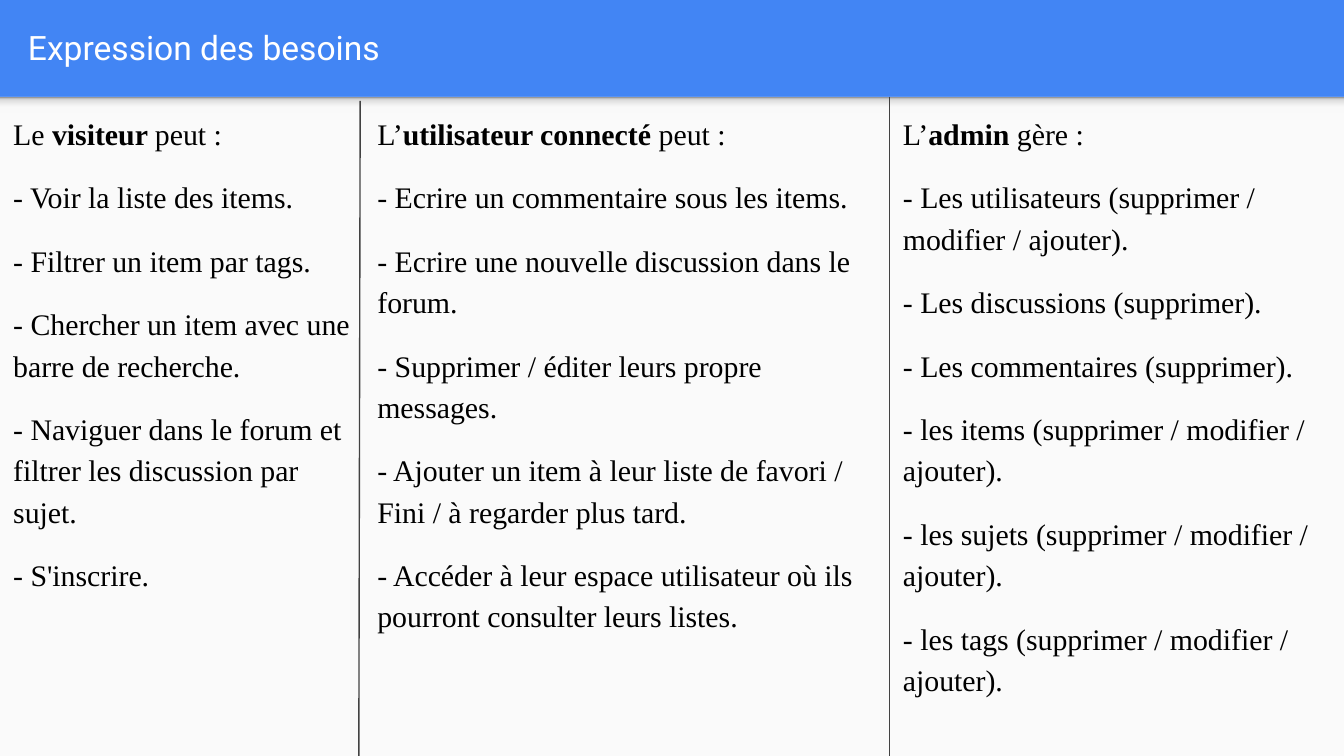
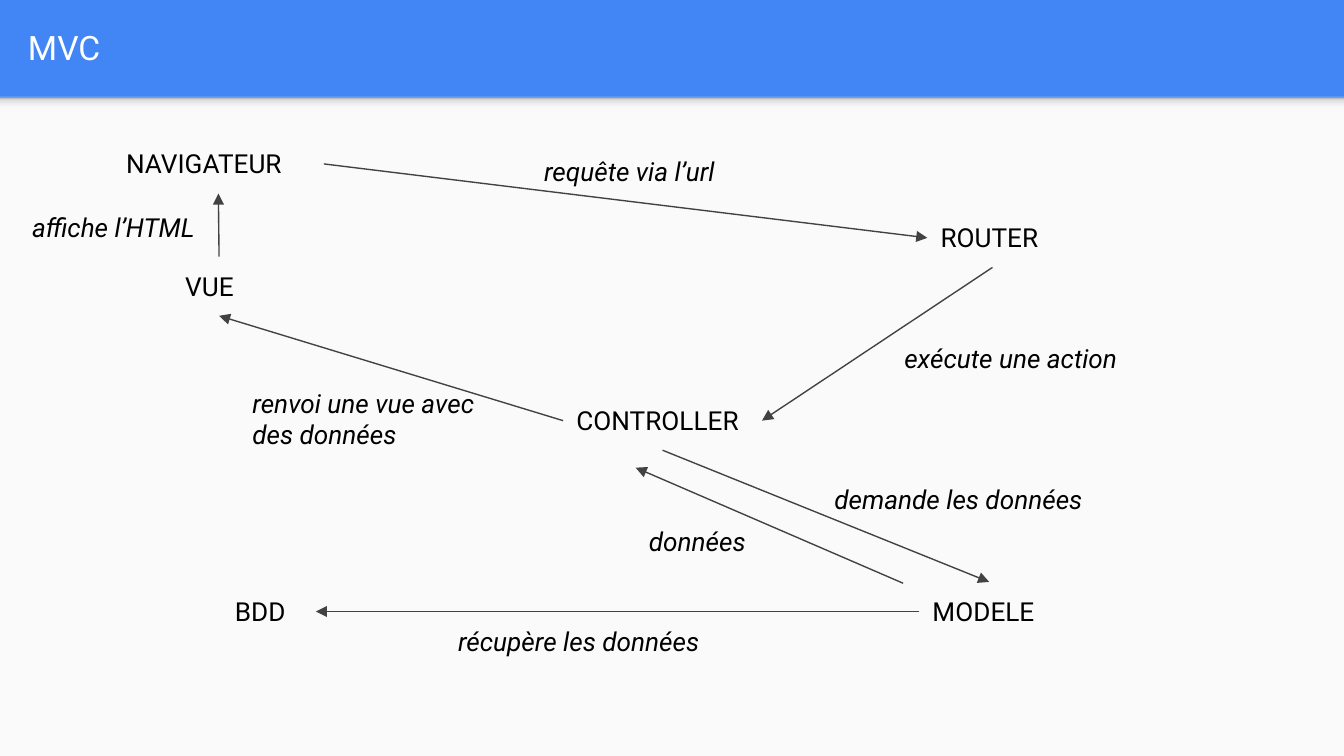
from copy import deepcopy

from lxml import etree
from pptx import Presentation
from pptx.dml.color import RGBColor
from pptx.enum.shapes import MSO_CONNECTOR, MSO_SHAPE
from pptx.enum.text import MSO_ANCHOR, MSO_AUTO_SIZE
from pptx.oxml.ns import qn
from pptx.util import Inches, Pt

RECTANGLE = MSO_SHAPE.RECTANGLE
STRAIGHT = MSO_CONNECTOR.STRAIGHT
MIDDLE = MSO_ANCHOR.MIDDLE
FIT_SHAPE = MSO_AUTO_SIZE.SHAPE_TO_FIT_TEXT
NO_FIT = MSO_AUTO_SIZE.NONE
TOP, LEFT, BOTTOM, RIGHT = range(4)

WIDTH = 10
HEIGHT = WIDTH * 9 / 16
BAND = 0.72
BLUE, PAPER, INK, WHITE, LINE = "4285F4", "FAFAFA", "000000", "FFFFFF", "424242"
SHADE = [(0, "F9F9F9"), (0.36, "F9F9F9"), (0.8, "DEDEDE"), (1, "999999")]
SANS, SERIF = "Roboto", "Times New Roman"

COLUMNS = [
    (0, 2.71, 4.9, ("Le ", "visiteur ", "peut :"), [
        "- Voir la liste des items.",
        "- Filtrer un item par tags.",
        "- Chercher un item avec une barre de recherche.",
        "- Naviguer dans le forum et filtrer les discussion par sujet.",
        "- S'inscrire.",
    ]),
    (2.71, 3.96, 4.91, ("L’", "utilisateur connecté ", "peut :"), [
        "- Ecrire un commentaire sous les items.",
        "- Ecrire une nouvelle discussion dans le forum.",
        "- Supprimer / éditer leurs propre messages.",
        "- Ajouter un item à leur liste de favori / Fini / à regarder plus tard.",
        "- Accéder à leur espace utilisateur où ils pourront consulter leurs listes.",
    ]),
    (6.62, 3.38, 5.02, ("L’", "admin ", "gère :"), [
        "- Les utilisateurs (supprimer / modifier / ajouter).",
        "- Les discussions (supprimer).",
        "- Les commentaires (supprimer).",
        "- les items (supprimer / modifier / ajouter).",
        "- les sujets (supprimer / modifier / ajouter).",
        "- les tags (supprimer / modifier / ajouter).",
    ]),
]
DIVIDERS = [((2.68, 0.75), (2.67, 5.67)), ((6.62, 0.72), (6.62, 5.65))]

NODES = [
    ("VUE", 1.28, 1.91, 0.7),
    ("CONTROLLER", 4.19, 2.91, 1.48),
    ("MODELE", 6.84, 4.33, 1.04),
    ("BDD", 1.65, 4.33, 0.7),
    ("ROUTER", 6.9, 1.55, 0.97),
    ("NAVIGATEUR", 0.84, 1, 1.57),
]
FLOWS = [
    ("NAVIGATEUR", RIGHT, "ROUTER", LEFT),
    ("ROUTER", BOTTOM, "CONTROLLER", RIGHT),
    ("CONTROLLER", BOTTOM, "MODELE", TOP),
    ("MODELE", LEFT, "BDD", RIGHT),
    ("CONTROLLER", LEFT, "VUE", BOTTOM),
    ("VUE", TOP, "NAVIGATEUR", BOTTOM),
]
LABELS = [
    ("requête via l’url", 3.95, 1.06, 1.86, 0.44),
    ("exécute une action", 6.63, 2.45, 2.02, 0.44),
    ("renvoi une vue avec des données", 1.78, 2.78, 1.86, 0.67),
    ("affiche l’HTML", 0.14, 1.47, 1.57, 0.44),
    ("demande les données", 6.11, 3.5, 2.27, 0.44),
    ("récupère les données", 3.31, 4.55, 3.38, 0.44),
    ("données", 4.73, 3.81, 0.97, 0.44),
]


def color(value):
    return RGBColor.from_string(value)


class Deck:
    """Holds the shared style and the slide being drawn."""

    def __init__(self):
        self.deck = Presentation()
        self.deck.slide_width = Inches(WIDTH)
        self.deck.slide_height = Inches(HEIGHT)
        self.page = None

    def new_page(self, title):
        self.page = self.deck.slides.add_slide(self.deck.slide_layouts[6])
        background = self.page.background.fill
        background.solid()
        background.fore_color.rgb = color(BLUE)
        panel = self.rectangle(0, BAND, WIDTH, HEIGHT - BAND)
        panel.fill.solid()
        panel.fill.fore_color.rgb = color(PAPER)
        self.shade(self.rectangle(0, BAND, WIDTH, 0.12))
        box = self.text(title, 0.11, 0.02, 9.65, 0.66, size=18, ink=WHITE, grow=False)
        box.text_frame.vertical_anchor = MIDDLE

    def rectangle(self, left, top, width, height):
        shape = self.page.shapes.add_shape(
            RECTANGLE, Inches(left), Inches(top), Inches(width), Inches(height))
        shape.shadow.inherit = False
        shape.line.fill.background()
        return shape

    def shade(self, shape):
        shape.fill.gradient()
        shape.fill.gradient_angle = 90
        stops = shape._element.spPr.find(".//" + qn("a:gsLst"))
        for _ in range(len(SHADE) - len(stops)):
            stops.append(deepcopy(stops[0]))
        for stop, (position, value) in zip(shape.fill.gradient_stops, SHADE):
            stop.position = position
            stop.color.rgb = color(value)

    def box(self, left, top, width, height, grow):
        box = self.page.shapes.add_textbox(
            Inches(left), Inches(top), Inches(width), Inches(height))
        frame = box.text_frame
        frame.word_wrap = True
        frame.auto_size = FIT_SHAPE if grow else NO_FIT
        frame.margin_left = frame.margin_right = Inches(0.1)
        frame.margin_top = frame.margin_bottom = Inches(0.1)
        return box

    def style(self, span, name, size, ink=INK, bold=False, italic=False):
        font = span.font
        font.name, font.size = name, Pt(size)
        font.bold, font.italic = bold, italic
        font.color.rgb = color(ink)

    def text(self, words, left, top, width, height, size=14, ink=INK, italic=False, grow=True):
        box = self.box(left, top, width, height, grow)
        box.text_frame.text = words
        self.style(box.text_frame.paragraphs[0].runs[0], SANS, size, ink, italic=italic)
        return box

    def column(self, left, width, height, heading, items):
        frame = self.box(left, BAND, width, height, grow=left > 0).text_frame
        frame.text = "\n".join(["", *items])
        for words in heading:
            frame.paragraphs[0].add_run().text = words
        for para in frame.paragraphs:
            para.line_spacing = 1.15
            para.space_before = Pt(12)
            for index, span in enumerate(para.runs):
                self.style(span, SERIF, 16, bold=index == 1)

    def line(self, start=(0, 0), end=(0, 0), arrow=False):
        points = [Inches(value) for value in (*start, *end)]
        line = self.page.shapes.add_connector(STRAIGHT, *points)
        line.line.width = Pt(0.75)
        line.line.color.rgb = color(LINE)
        properties = line._element.spPr
        if arrow:
            etree.SubElement(properties.find(qn("a:ln")), qn("a:tailEnd"), type="triangle")
        etree.SubElement(properties, qn("a:effectLst"))
        return line

    def join(self, source, source_side, target, target_side):
        line = self.line(arrow=True)
        line.begin_connect(source, source_side)
        line.end_connect(target, target_side)


def needs_page(deck):
    deck.new_page("Expression des besoins")
    for column in COLUMNS:
        deck.column(*column)
    for start, end in DIVIDERS:
        deck.line(start, end)


def mvc_page(deck):
    deck.new_page("MVC")
    nodes = {name: deck.text(name, left, top, width, 0.44)
             for name, left, top, width in NODES}
    for source, source_side, target, target_side in FLOWS:
        deck.join(nodes[source], source_side, nodes[target], target_side)
    deck.line((6.72, 4.34), (4.73, 3.48), arrow=True)
    for label in LABELS:
        deck.text(*label, italic=True)


def main():
    deck = Deck()
    needs_page(deck)
    mvc_page(deck)
    deck.deck.save("out.pptx")


if __name__ == "__main__":
    main()
